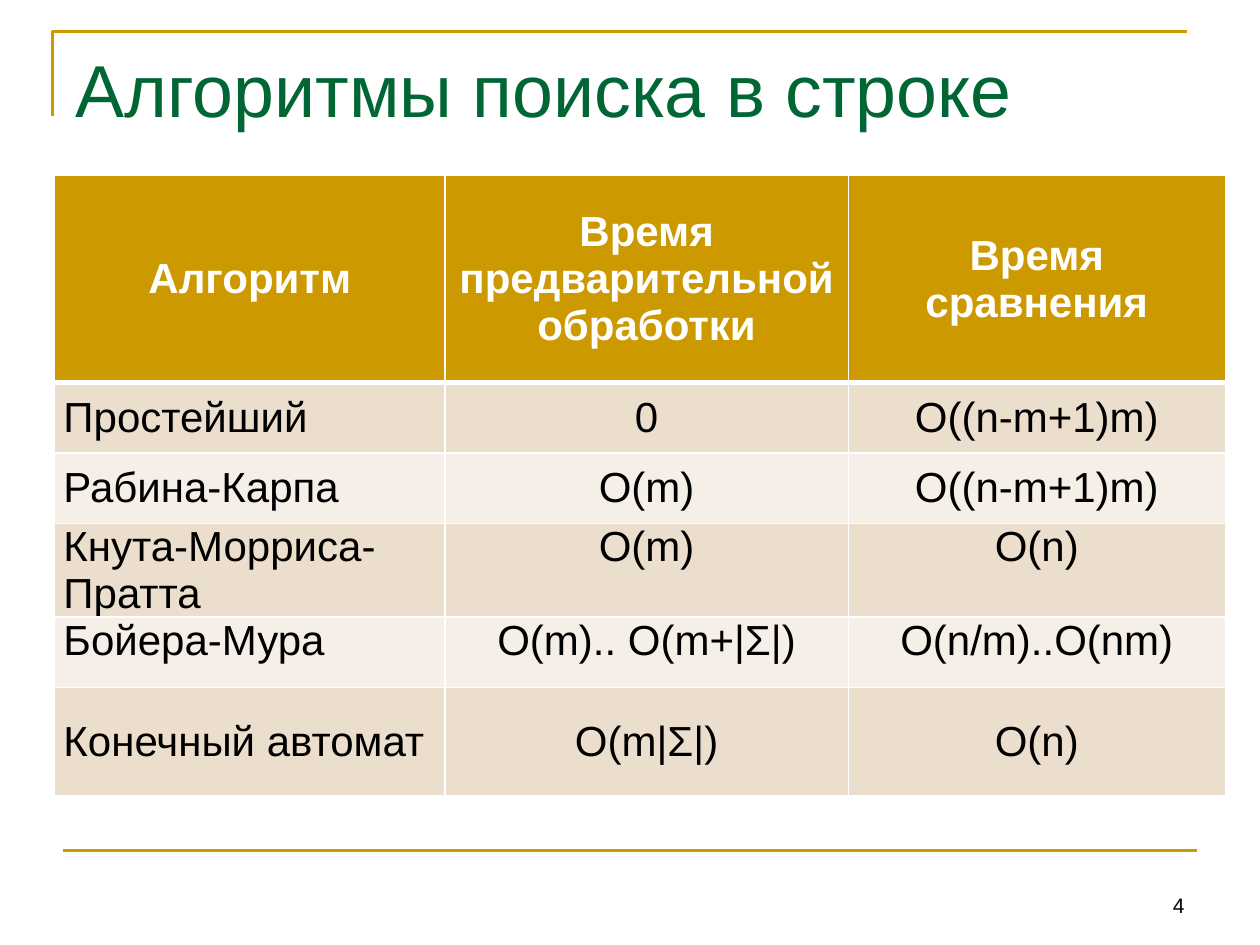
from dataclasses import dataclass

import pptx
import pptx.dml.color
import pptx.enum.shapes
import pptx.enum.text
import pptx.oxml
import pptx.oxml.ns
import pptx.util
from pptx.util import Cm, Pt

RGBColor = pptx.dml.color.RGBColor
Align = pptx.enum.text.PP_ALIGN
Anchor = pptx.enum.text.MSO_ANCHOR

GOLD = RGBColor(0xCC, 0x99, 0x00)
GREEN = RGBColor(0x00, 0x66, 0x33)
WHITE = RGBColor(0xFF, 0xFF, 0xFF)
BLACK = RGBColor(0x00, 0x00, 0x00)
BANDS = (RGBColor(0xEC, 0xDE, 0xCC), RGBColor(0xF6, 0xEF, 0xE7))

FONT = "Arial"
COLUMN_WIDTHS = (7.87, 8.13, 7.6)


@dataclass(frozen=True)
class AlgorithmRow:
    texts: tuple[str, str, str]
    height: float = 1.42
    anchor: Anchor = Anchor.MIDDLE
    name_align: Align = Align.LEFT


HEADER = AlgorithmRow(
    ("Алгоритм", "Время предварительной обработки", "Время сравнения"),
    height=4.17, name_align=Align.CENTER,
)
ALGORITHMS = (
    AlgorithmRow(("Простейший", "0", "O((n-m+1)m)")),
    AlgorithmRow(("Рабина-Карпа", "O(m)", "O((n-m+1)m)")),
    AlgorithmRow(("Кнута-Морриса-Пратта", "O(m)", "O(n)"),
                 anchor=Anchor.TOP, name_align=Align.JUSTIFY),
    AlgorithmRow(("Бойера-Мура", "O(m).. O(m+|Σ|)", "O(n/m)..O(nm)"),
                 anchor=Anchor.TOP, name_align=Align.JUSTIFY),
    AlgorithmRow(("Конечный автомат", "O(m|Σ|)", "O(n)"), height=2.18),
)


def set_attributes(target, values: dict) -> None:
    for name, value in values.items():
        setattr(target, name, value)


def write_text(text_frame, text: str, size: float, color: RGBColor,
               align: Align, bold: bool = False) -> None:
    paragraph = text_frame.paragraphs[0]
    paragraph.alignment = align
    run = paragraph.add_run()
    run.text = text
    set_attributes(run.font, {"name": FONT, "size": Pt(size), "bold": bold})
    run.font.color.rgb = color


def style_line(line) -> None:
    line.color.rgb = GOLD
    line.width = Pt(1.5)


def set_borders(cell, widths: dict[str, float]) -> None:
    """Put white borders before the fill, as the cell schema requires."""
    properties = cell._tc.get_or_add_tcPr()
    for index, (side, width) in enumerate(widths.items()):
        properties.insert(index, pptx.oxml.parse_xml(
            f'<a:ln{side} {pptx.oxml.ns.nsdecls("a")} w="{Pt(width)}">'
            f'<a:solidFill><a:srgbClr val="{WHITE}"/></a:solidFill></a:ln{side}>'
        ))


def add_frame_lines(slide) -> None:
    left, top, right, bottom = Cm(1.06), Cm(0.64), Cm(23.92), Cm(2.33)
    builder = slide.shapes.build_freeform(left, bottom)
    builder.add_line_segments([(left, top), (right, top)], close=False)
    corner = builder.convert_to_shape()
    corner.shadow.inherit = False
    corner.fill.background()
    style_line(corner.line)

    footer_line = slide.shapes.add_connector(
        pptx.enum.shapes.MSO_CONNECTOR.STRAIGHT,
        Cm(1.27), Cm(17.15), Cm(24.13), Cm(17.15),
    )
    style_line(footer_line.line)
    footer_line._element.spPr.append(
        pptx.oxml.parse_xml(f'<a:effectLst {pptx.oxml.ns.nsdecls("a")}/>')
    )


def format_title(title) -> None:
    set_attributes(title, {"left": Cm(1.27), "top": Cm(0.76),
                           "width": Cm(22.86), "height": Cm(3.18)})
    set_attributes(title.text_frame, {"word_wrap": True,
                                      "vertical_anchor": Anchor.TOP})
    write_text(title.text_frame, "Алгоритмы поиска в строке", 42, GREEN, Align.LEFT)


def add_algorithm_table(slide) -> None:
    rows = (HEADER, *ALGORITHMS)
    table = slide.shapes.add_table(
        len(rows), len(COLUMN_WIDTHS), Cm(1.1), Cm(3.54),
        Cm(sum(COLUMN_WIDTHS)), Cm(sum(row.height for row in rows)),
    ).table
    for column, width in zip(table.columns, COLUMN_WIDTHS):
        column.width = Cm(width)
    for row_index, row in enumerate(rows):
        table.rows[row_index].height = Cm(row.height)
        is_header = row_index == 0
        for column_index, text in enumerate(row.texts):
            cell = table.cell(row_index, column_index)
            set_attributes(cell, {
                "margin_left": Cm(0.18), "margin_right": Cm(0.18),
                "margin_top": 0, "margin_bottom": 0,
                "vertical_anchor": row.anchor,
            })
            cell.fill.solid()
            cell.fill.fore_color.rgb = GOLD if is_header else BANDS[(row_index - 1) % 2]
            set_borders(cell, {"L": 1, "R": 1, "T": 3 if row_index == 1 else 1,
                               "B": 3 if is_header else 1})
            write_text(cell.text_frame, text, 24, WHITE if is_header else BLACK,
                       Align.CENTER if column_index else row.name_align, is_header)


def add_slide_number(slide) -> None:
    box = slide.shapes.add_textbox(Cm(18.2), Cm(17.35), Cm(5.93), Cm(1.27))
    set_attributes(box.text_frame, {"word_wrap": True,
                                    "vertical_anchor": Anchor.BOTTOM})
    write_text(box.text_frame, "4", 12, BLACK, Align.RIGHT)


def main() -> None:
    presentation = pptx.Presentation()
    set_attributes(presentation, {"slide_width": Cm(25.4), "slide_height": Cm(19.05)})
    slide = presentation.slides.add_slide(presentation.slide_layouts[5])
    add_frame_lines(slide)
    format_title(slide.shapes.title)
    add_algorithm_table(slide)
    add_slide_number(slide)
    presentation.save("out.pptx")


if __name__ == "__main__":
    main()
